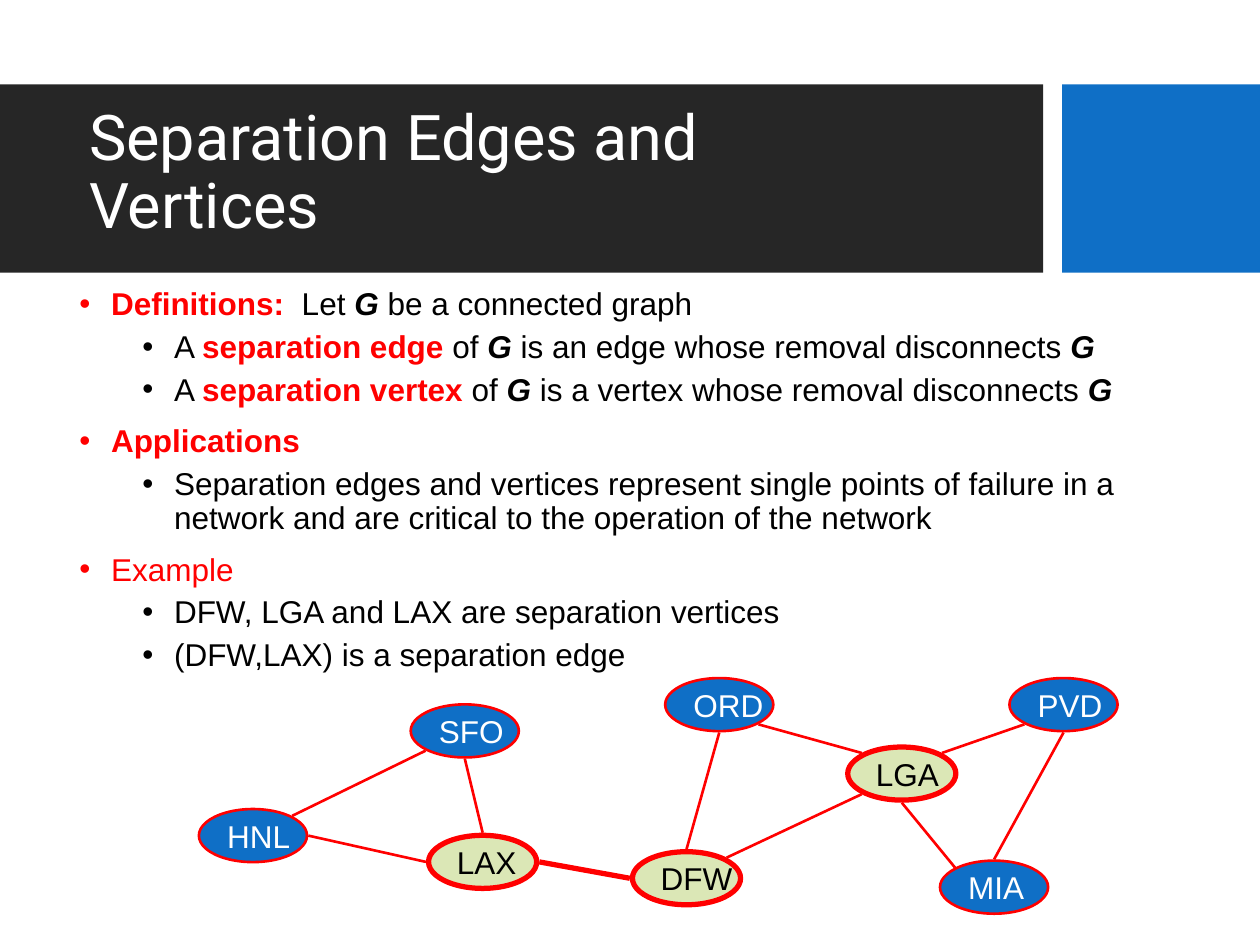
from dataclasses import dataclass
from math import cos, radians, sin

from lxml.etree import SubElement
from pptx import Presentation
from pptx.dml.color import RGBColor
from pptx.enum.shapes import MSO_CONNECTOR as Connector, MSO_SHAPE as Shape
from pptx.enum.text import MSO_ANCHOR as Anchor, PP_ALIGN as Align
from pptx.oxml.ns import qn
from pptx.slide import Slide
from pptx.util import Cm, Pt

BLACK = RGBColor(0x00, 0x00, 0x00)
WHITE = RGBColor(0xFF, 0xFF, 0xFF)
RED = RGBColor(0xFF, 0x00, 0x00)
BLUE = RGBColor(0x0F, 0x6F, 0xC6)
CHARCOAL = RGBColor(0x26, 0x26, 0x26)
PALE_GREEN = RGBColor(0xDB, 0xE7, 0xB6)

THIN, THICK = Pt(1.5), Pt(3)
NODE_WIDTH, NODE_HEIGHT = Cm(2.18), Cm(1.07)

# Angles of the points on a node's rim, clockwise from the right
RIGHT, LOWER_RIGHT, BOTTOM, LOWER_LEFT = 0, 45, 90, 135
LEFT, UPPER_LEFT, TOP, UPPER_RIGHT = 180, 225, 270, 315


@dataclass(frozen=True)
class Span:
    text: str
    color: RGBColor = BLACK
    bold: bool = False
    italic: bool = False


@dataclass(frozen=True)
class Bullet:
    spans: tuple[Span, ...]
    level: int = 1


@dataclass(frozen=True)
class Airport:
    left: float
    top: float
    separates: bool = False

    @property
    def outline(self) -> int:
        return THICK if self.separates else THIN

    def rim(self, angle: int) -> tuple[int, int]:
        """Point on the outer side of the outline."""
        across = (NODE_WIDTH + self.outline) / 2 * cos(radians(angle))
        down = (NODE_HEIGHT + self.outline) / 2 * sin(radians(angle))
        return (round(Cm(self.left) + NODE_WIDTH / 2 + across),
                round(Cm(self.top) + NODE_HEIGHT / 2 + down))


@dataclass(frozen=True)
class Route:
    start: str
    start_angle: int
    end: str
    end_angle: int
    width: int = THIN


def term(text: str) -> Span:
    return Span(text, RED, bold=True)


def symbol(text: str) -> Span:
    return Span(text, bold=True, italic=True)


def definition(name: str, meaning: str) -> Bullet:
    return Bullet((Span("A "), term(name), Span("of "), symbol("G "),
                   Span(meaning), symbol("G")))


BULLETS = (
    Bullet((term("Definitions:"), Span("  Let "), symbol("G "),
            Span("be a connected graph")), level=0),
    definition("separation edge ", "is an edge whose removal disconnects "),
    definition("separation vertex ", "is a vertex whose removal disconnects "),
    Bullet((term("Applications"),), level=0),
    Bullet((Span("Separation edges and vertices represent single points of "
                 "failure in a network and are critical to the operation "
                 "of the network"),)),
    Bullet((Span("Example", RED),), level=0),
    Bullet((Span("DFW, LGA and LAX are separation vertices"),)),
    Bullet((Span("(DFW,LAX) is a separation edge"),)),
)

AIRPORTS = {
    "ORD": Airport(13.41, 13.67),
    "PVD": Airport(20.35, 13.67),
    "MIA": Airport(18.95, 17.35),
    "DFW": Airport(12.75, 17.17, separates=True),
    "SFO": Airport(8.28, 14.2),
    "LAX": Airport(8.64, 16.84, separates=True),
    "LGA": Airport(17.09, 15.06, separates=True),
    "HNL": Airport(4.01, 16.31),
}

ROUTES = (
    Route("DFW", TOP, "ORD", BOTTOM),
    Route("DFW", UPPER_RIGHT, "LGA", LOWER_LEFT),
    Route("LGA", UPPER_RIGHT, "PVD", LOWER_LEFT),
    Route("HNL", RIGHT, "LAX", LEFT),
    Route("SFO", BOTTOM, "LAX", TOP),
    Route("LGA", BOTTOM, "MIA", UPPER_LEFT),
    Route("LGA", UPPER_LEFT, "ORD", LOWER_RIGHT),
    Route("LAX", RIGHT, "DFW", LEFT, THICK),
    Route("HNL", UPPER_RIGHT, "SFO", LOWER_LEFT),
    Route("MIA", TOP, "PVD", BOTTOM),
)


def add_band(page: Slide, left: float, width: float, color: RGBColor) -> None:
    band = page.shapes.add_shape(Shape.RECTANGLE, Cm(left), Cm(1.7),
                                 Cm(width), Cm(3.8))
    band.shadow.inherit = False
    band.fill.solid()
    band.fill.fore_color.rgb = color
    band.line.fill.background()


def add_title(page: Slide, text: str) -> None:
    box = page.shapes.add_textbox(Cm(1.55), Cm(2.31), Cm(17.37), Cm(2.41))
    frame = box.text_frame
    frame.word_wrap = True
    frame.vertical_anchor = Anchor.MIDDLE
    para = frame.paragraphs[0]
    para.text = text
    para.line_spacing = 0.9
    para.font.name, para.font.size = "Roboto", Pt(36)
    para.font.color.rgb = WHITE


def add_bullets(page: Slide, bullets: tuple[Bullet, ...]) -> None:
    box = page.shapes.add_textbox(Cm(1.35), Cm(5.69), Cm(21.64), Cm(8.2))
    frame = box.text_frame
    frame.word_wrap = True
    for index, bullet in enumerate(bullets):
        para = frame.paragraphs[0] if index == 0 else frame.add_paragraph()
        para.level = bullet.level
        para.line_spacing = 0.9
        if index:
            para.space_before = Pt(5 if bullet.level else 10)
        properties = para._p.get_or_add_pPr()
        properties.set("marL", str(Cm(0.64 + 1.27 * bullet.level)))
        properties.set("indent", str(-Cm(0.64)))
        SubElement(properties, qn("a:buFont"), typeface="Arial")
        SubElement(properties, qn("a:buChar"), char="•")
        para.font.name, para.font.size = "Arial", Pt(18)
        for span in bullet.spans:
            run = para.add_run()
            run.text = span.text
            run.font.color.rgb = span.color
            run.font.bold, run.font.italic = span.bold, span.italic


def add_airport(page: Slide, code: str, airport: Airport) -> None:
    node = page.shapes.add_shape(Shape.OVAL, Cm(airport.left), Cm(airport.top),
                                 NODE_WIDTH, NODE_HEIGHT)
    node.shadow.inherit = False
    node.fill.solid()
    node.fill.fore_color.rgb = PALE_GREEN if airport.separates else BLUE
    node.line.color.rgb, node.line.width = RED, airport.outline
    frame = node.text_frame
    frame.word_wrap = False
    frame.vertical_anchor = Anchor.MIDDLE
    para = frame.paragraphs[0]
    para.text = code
    para.alignment = Align.LEFT
    para.font.name, para.font.size = "Arial", Pt(18)
    para.font.color.rgb = BLACK if airport.separates else WHITE


def add_route(page: Slide, route: Route) -> None:
    start = AIRPORTS[route.start].rim(route.start_angle)
    end = AIRPORTS[route.end].rim(route.end_angle)
    line = page.shapes.add_connector(Connector.STRAIGHT, *start, *end)
    line.line.color.rgb, line.line.width = RED, route.width
    SubElement(line._element.spPr, qn("a:effectLst"))


def main() -> None:
    deck = Presentation()
    deck.slide_width, deck.slide_height = Cm(25.4), Cm(19.05)
    page = deck.slides.add_slide(deck.slide_layouts[6])

    # Heading
    add_band(page, 0, 21.03, CHARCOAL)
    add_band(page, 21.41, 3.99, BLUE)
    add_title(page, "Separation Edges and Vertices")

    # Definitions, applications and example
    add_bullets(page, BULLETS)

    # Airport graph
    for code, airport in AIRPORTS.items():
        add_airport(page, code, airport)
    for route in ROUTES:
        add_route(page, route)

    deck.save("out.pptx")


if __name__ == "__main__":
    main()
